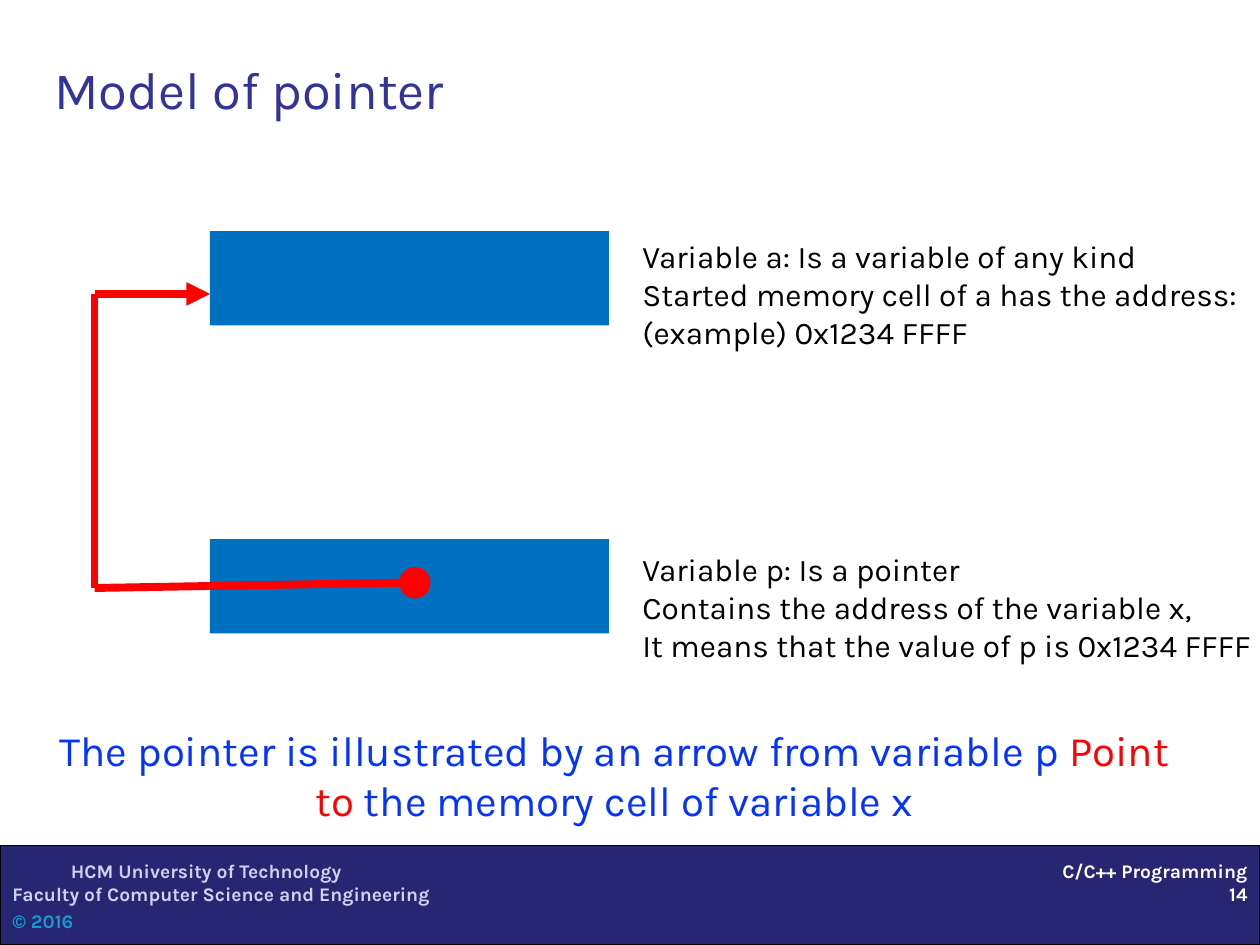
import pptx
import pptx.util
import pptx.dml.color
import pptx.enum.shapes
import pptx.enum.text
from lxml import etree

Pt = pptx.util.Pt
Align = pptx.enum.text.PP_ALIGN
Kind = pptx.enum.shapes.MSO_SHAPE
NS = "{http://schemas.openxmlformats.org/drawingml/2006/main}"

theme = {
    "font": "Karla",
    "size": {"title": 30, "main": 24, "note": 18, "foot": 11},
    "color": {
        name: pptx.dml.color.RGBColor.from_string(code)
        for name, code in {
            "title": "333399", "bar": "262673", "pale": "D1D1F0", "copy": "199ACC",
            "white": "FFFFFF", "black": "000000", "cell": "0070C0",
            "red": "FF0000", "blue": "0432FF",
        }.items()
    },
}

deck = pptx.Presentation()
deck.slide_width, deck.slide_height = Pt(720), Pt(540)
slide = deck.slides.add_slide(deck.slide_layouts[6])


def add_text(box, size, lines, align=Align.LEFT, bold=False, wrap=True):
    """Add a text box; each line is a list of (text, color) runs."""
    frame = slide.shapes.add_textbox(*map(Pt, box)).text_frame
    frame.word_wrap = wrap
    for i, line in enumerate(lines):
        para = frame.paragraphs[0] if i == 0 else frame.add_paragraph()
        para.alignment = align
        for text, color in line:
            run = para.add_run()
            run.text = text
            run.font.name = theme["font"]
            run.font.size = Pt(theme["size"][size])
            run.font.bold = bold
            run.font.color.rgb = theme["color"][color]
    return frame


def add_shape(kind, box, color):
    shape = slide.shapes.add_shape(kind, *map(Pt, box))
    shape.shadow.inherit = False
    shape.fill.solid()
    shape.fill.fore_color.rgb = theme["color"][color]
    shape.line.fill.background()
    return shape


# Footer bar
bar = add_shape(Kind.RECTANGLE, (0, 483, 720, 57), "bar")
bar.line.color.rgb = theme["color"]["black"]
bar.line.width = Pt(0.75)
left = add_text((0, 487.5, 378, 49.5), "foot", [
    [("HCM University of Technology", "pale")],
    [("Faculty of Computer Science and Engineering", "pale")],
    [("© 2016", "copy")],
], bold=True)
left.paragraphs[0]._p.get_or_add_pPr().set("marL", str(Pt(33.4)))
left.paragraphs[2].space_before = Pt(2.2)
add_text((300, 487.5, 420, 34), "foot", [
    [("C/C++ Programming", "white")],
    [("14", "white")],
], Align.RIGHT, bold=True)

# Title
title = add_text((24, 6, 678, 66), "title", [[("Model of pointer", "title")]])
title.vertical_anchor = pptx.enum.text.MSO_ANCHOR.BOTTOM

# Memory cells of a and p, and the dot where the arrow starts
for top in (132, 308):
    add_shape(Kind.RECTANGLE, (120, top, 228, 54), "cell")
add_shape(Kind.OVAL, (228, 324, 18, 18), "red")

# Arrow from p to a, in three legs
stops = [(228, 333), (54, 336), (54, 168), (120, 168)]
for start, end in zip(stops, stops[1:]):
    leg = slide.shapes.add_connector(
        pptx.enum.shapes.MSO_CONNECTOR.STRAIGHT, *map(Pt, start + end))
    leg.line.color.rgb = theme["color"]["red"]
    leg.line.width = Pt(4.5)
    if end == stops[-1]:
        etree.SubElement(leg.line._get_or_add_ln(), NS + "tailEnd", type="triangle")
    etree.SubElement(leg._element.spPr, NS + "effectLst")

# Summary
add_text((24, 410.5, 654, 94), "main", [[
    ("The pointer is illustrated by an arrow from variable p ", "blue"),
    ("Point to ", "red"),
    ("the memory cell of variable x", "blue"),
]], Align.CENTER)

# Notes beside the cells
notes = [
    (132, 357, ["Variable a: Is a variable of any kind",
                "Started memory cell of a has the address:",
                "(example) 0x1234 FFFF"]),
    (311, 368.5, ["Variable p: Is a pointer",
                  "Contains the address of the variable x,",
                  "It means that the value of p is 0x1234 FFFF"]),
]
for top, width, lines in notes:
    add_text((360, top, width, 72.7), "note",
             [[(line, "black")] for line in lines], wrap=False)

deck.save("out.pptx")
